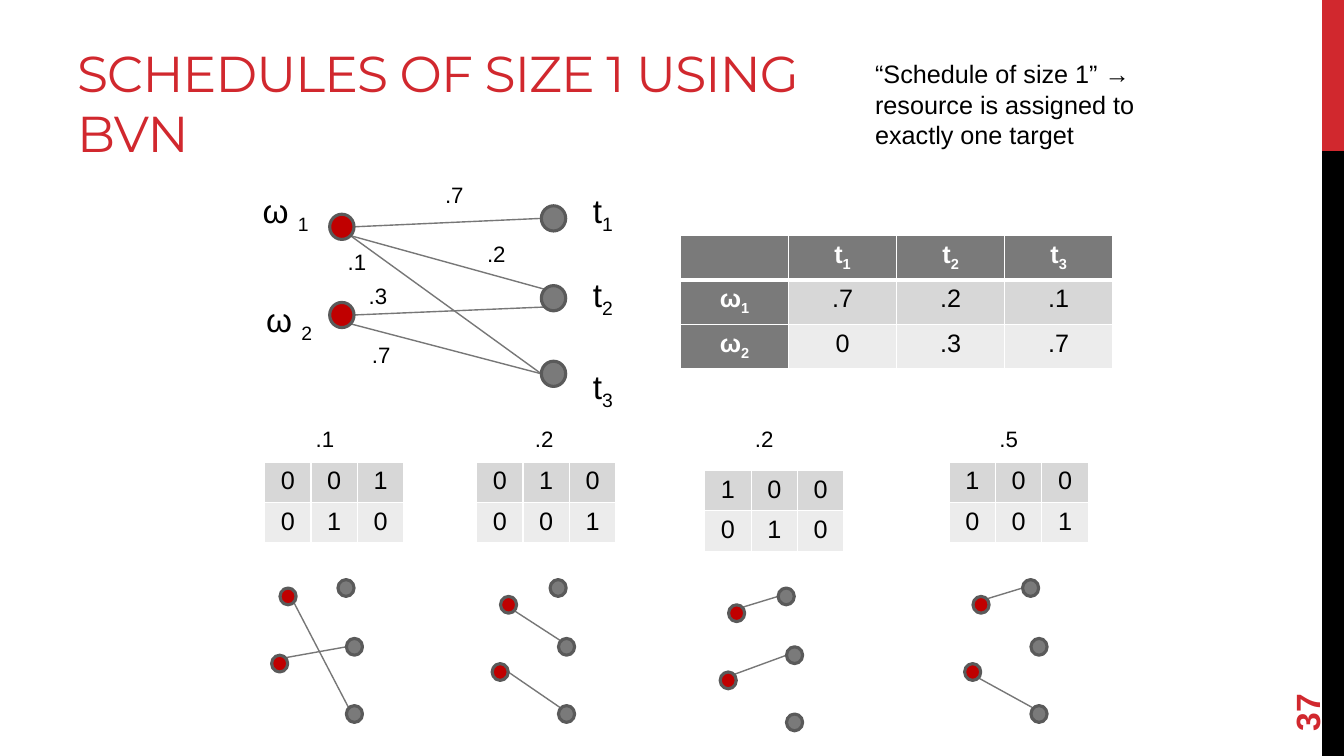
from lxml.etree import SubElement
from pptx import Presentation
from pptx.dml.color import RGBColor
from pptx.enum.shapes import MSO_CONNECTOR, MSO_SHAPE
from pptx.enum.text import MSO_ANCHOR, PP_ALIGN
from pptx.oxml.ns import qn
from pptx.util import Inches, Pt

COLORS = {
    "red": "D1282E", "black": "000000", "white": "FFFFFF",
    "source": "C00000", "target": "7A7A7A", "outline": "5A5A5A",
    "link": "777777", "band0": "D7D7D7", "band1": "ECECEC",
}
RGB = {name: RGBColor.from_string(value) for name, value in COLORS.items()}
CELL = Inches(1) // 12  # the slide is a grid of 160 columns by 90 rows


def grid(*lengths):
    return [round(n * CELL) for n in lengths]


def write(tf, text, size, color="black", bold=False, font="Arial"):
    """Fill a text frame; the part after an underscore becomes a subscript."""
    p = tf.paragraphs[0]
    p.font.size, p.font.name, p.font.bold = Pt(size), font, bold
    p.font.color.rgb = RGB[color]
    base, _, index = text.partition("_")
    p.add_run().text = base
    if index:
        r = p.add_run()
        r.text = index
        r._r.get_or_add_rPr().set("baseline", "-25000")
    return p


prs = Presentation()
prs.slide_width, prs.slide_height = grid(160, 90)
s = prs.slides.add_slide(prs.slide_layouts[6])

# Side strip
for y, h, color in [(0, 18, "red"), (18, 72, "black")]:
    sp = s.shapes.add_shape(MSO_SHAPE.RECTANGLE, *grid(157.4, y, 2.6, h))
    sp.shadow.inherit = False
    sp.fill.solid()
    sp.fill.fore_color.rgb = RGB[color]
    sp.line.fill.background()

# Title and page number
tf = s.shapes.add_textbox(*grid(8, 2, 101.3, 18)).text_frame
tf.word_wrap = True
tf.vertical_anchor = MSO_ANCHOR.BOTTOM
p = write(tf, "SCHEDULES OF SIZE 1 USING BVN", 36, "red", font="Montserrat")
p.runs[0]._r.get_or_add_rPr().set("spc", "-60")

sp = s.shapes.add_textbox(*grid(146.9, 76.4, 17.3, 6.4))
sp.rotation = 270
sp.text_frame.word_wrap = True
sp.text_frame.vertical_anchor = MSO_ANCHOR.MIDDLE
write(sp.text_frame, "37", 24, "red", bold=True)

# Content: labels (x, y, w, h, size, text), tables, and graphs
labels = [
    (103, 6.4, 37, 12.1, 18,
     "“Schedule of size 1” → resource is assigned to exactly one target"),
    (30.1, 22, 8.2, 6, 23.8, "ω _1"),
    (30.5, 35, 8.2, 6, 23.8, "ω _2"),
]
labels += [(69.4, y, 5.9, 6, 23.8, f"t_{i}")
           for i, y in enumerate((22, 32, 43), 1)]
weights = [(51.8, 21, ".7"), (40.2, 29, ".1"), (43.1, 40, ".7"),
           (42.7, 33, ".3"), (56.8, 28, ".2")]

# Tables: x, y, column width, row height, headed, rows
tables = [(81, 28, 12.87, 5, True, [["", "t_1", "t_2", "t_3"],
                                    ["ω_1", ".7", ".2", ".1"],
                                    ["ω_2", "0", ".3", ".7"]])]

# Graphs: dot size, source centres, target centres, links
# Links: source, side it leaves, target, side it meets
graphs = [((2.9, 3), [(40.7, 27), (40.7, 37.5)],
           [(65.9, 26), (65.9, 35.5), (65.9, 44.5)],
           [(0, "right", 0, "left"), (0, "low right", 1, "top left"),
            (0, "low right", 2, "left"), (1, "right", 1, "low left"),
            (1, "low right", 2, "left")])]

# Schedules: x, drop, source shift, weight x, weight, matrix, links
schedules = [
    (31.5, 0, -1, 36.4, ".1", ["001", "010"],
     [(0, "low right", 2, "top left"), (1, "top right", 1, "left")]),
    (56.75, 0, 0, 62.5, ".2", ["010", "001"],
     [(0, "low right", 1, "top left"), (1, "right", 2, "top left")]),
    (83.9, 1, 0, 88.7, ".2", ["100", "010"],
     [(0, "top right", 0, "left"), (1, "top right", 1, "left")]),
    (113, 0, 0, 117.8, ".5", ["100", "001"],
     [(0, "top right", 0, "left"), (1, "low right", 2, "top left")]),
]
for x, drop, shift, weight_x, weight, matrix, links in schedules:
    weights.append((weight_x, 50, weight))
    tables.append((x, 55 + drop, 5.52, 4.8, False, matrix))
    sources = [(x + dx + shift, y + drop + shift)
               for dx, y in [(3.8, 72), (2.8, 80)]]
    targets = [(x + dx, y + drop)
               for dx, y in [(9.7, 70), (10.7, 77), (10.7, 85)]]
    graphs.append(((1.92, 2), sources, targets, links))

# Labels
labels += [(x, y, 6.8, 4.4, 15.9, text) for x, y, text in weights]
for *place, size, text in labels:
    tf = s.shapes.add_textbox(*grid(*place)).text_frame
    tf.word_wrap = True
    write(tf, text, size)

# Tables
for x, y, col_w, row_h, headed, rows in tables:
    n_rows, n_cols = len(rows), len(rows[0])
    place = grid(x, y, col_w * n_cols, row_h * n_rows)
    table = s.shapes.add_table(n_rows, n_cols, *place).table
    for col in table.columns:
        col.width = grid(col_w)[0]
    for i, row in enumerate(rows):
        table.rows[i].height = grid(row_h)[0]
        for j, text in enumerate(row):
            cell = table.cell(i, j)
            head = headed and 0 in (i, j)
            for side in "LRTB":
                thick = headed and (i, side) in [(0, "B"), (1, "T")]
                ln = SubElement(cell._tc.get_or_add_tcPr(), qn(f"a:ln{side}"),
                                w=str(Pt(3 if thick else 1)))
                SubElement(SubElement(ln, qn("a:solidFill")),
                           qn("a:srgbClr"), val=COLORS["white"])
            cell.fill.solid()
            band = f"band{(i - headed) % 2}"
            cell.fill.fore_color.rgb = RGB["target" if head else band]
            p = write(cell.text_frame, text, 18,
                      "white" if head else "black", bold=head)
            p.alignment = PP_ALIGN.CENTER

# Graphs
SIDES = {"left": (-0.5, 0), "right": (0.5, 0),
         "top left": (-0.35, -0.35), "top right": (0.35, -0.35),
         "low left": (-0.35, 0.35), "low right": (0.35, 0.35)}
for (w, h), sources, targets, links in graphs:
    for source, leaves, target, meets in links:
        ends = []
        for (x, y), side in [(sources[source], leaves),
                             (targets[target], meets)]:
            dx, dy = SIDES[side]
            ends += grid(x + dx * w, y + dy * h)
        line = s.shapes.add_connector(MSO_CONNECTOR.STRAIGHT, *ends)
        line.line.color.rgb = RGB["link"]
        line.line.width = Pt(1)
        SubElement(line._element.spPr, qn("a:effectLst"))
    for color, dots in [("target", targets), ("source", sources)]:
        for x, y in dots:
            sp = s.shapes.add_shape(MSO_SHAPE.OVAL,
                                    *grid(x - w / 2, y - h / 2, w, h))
            sp.shadow.inherit = False
            sp.fill.solid()
            sp.fill.fore_color.rgb = RGB[color]
            sp.line.color.rgb = RGB["outline"]
            sp.line.width = Pt(2.25)

prs.save("out.pptx")
